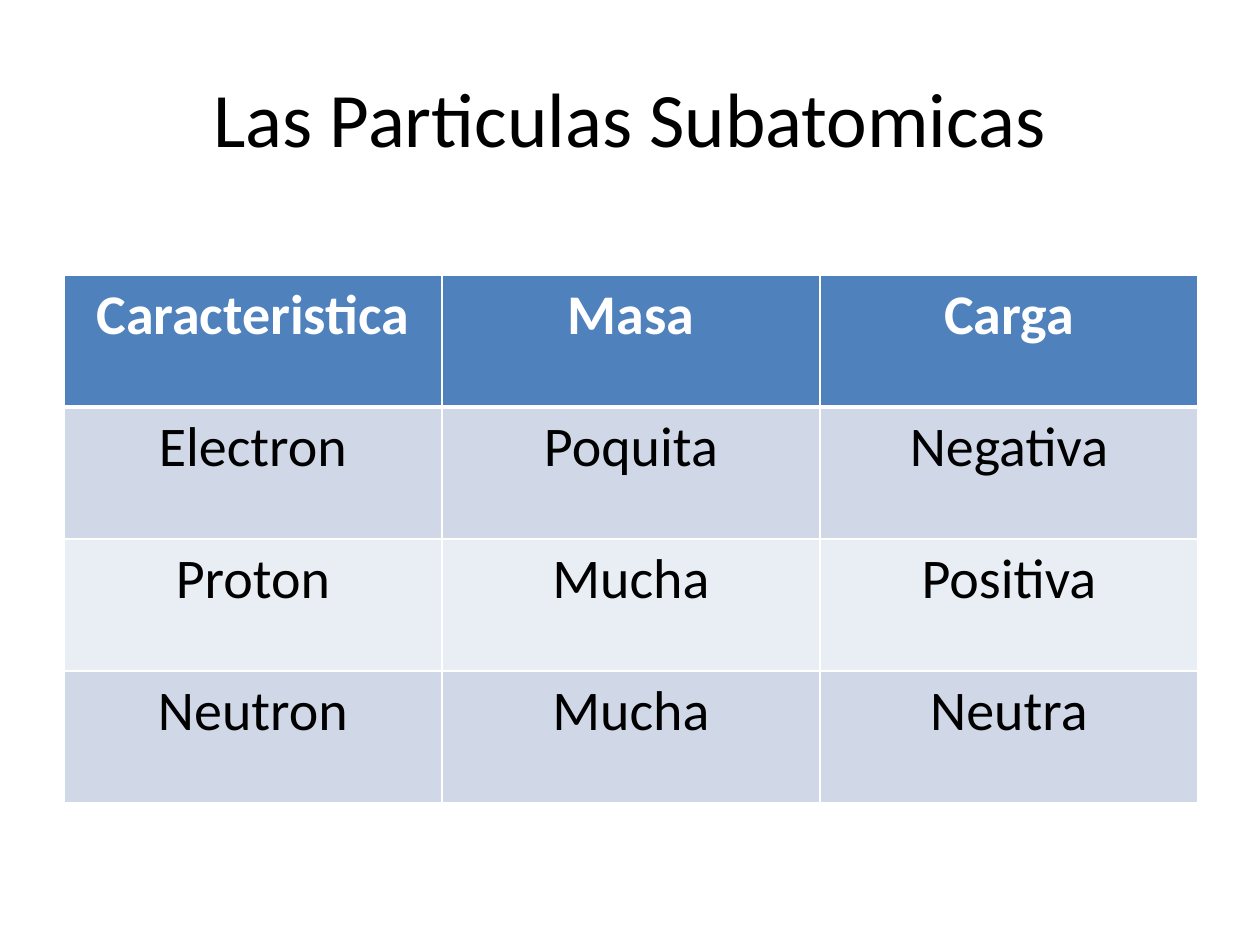
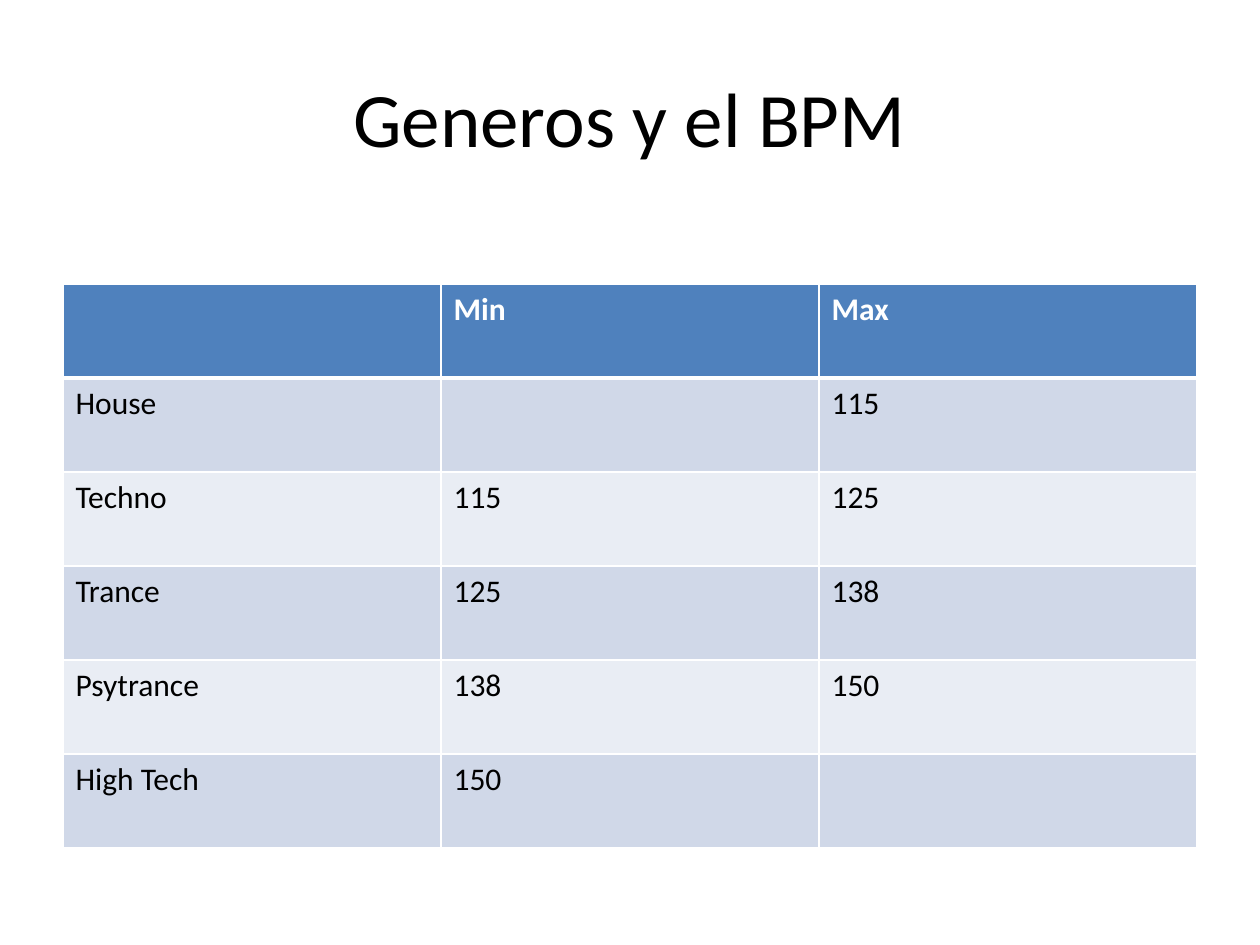
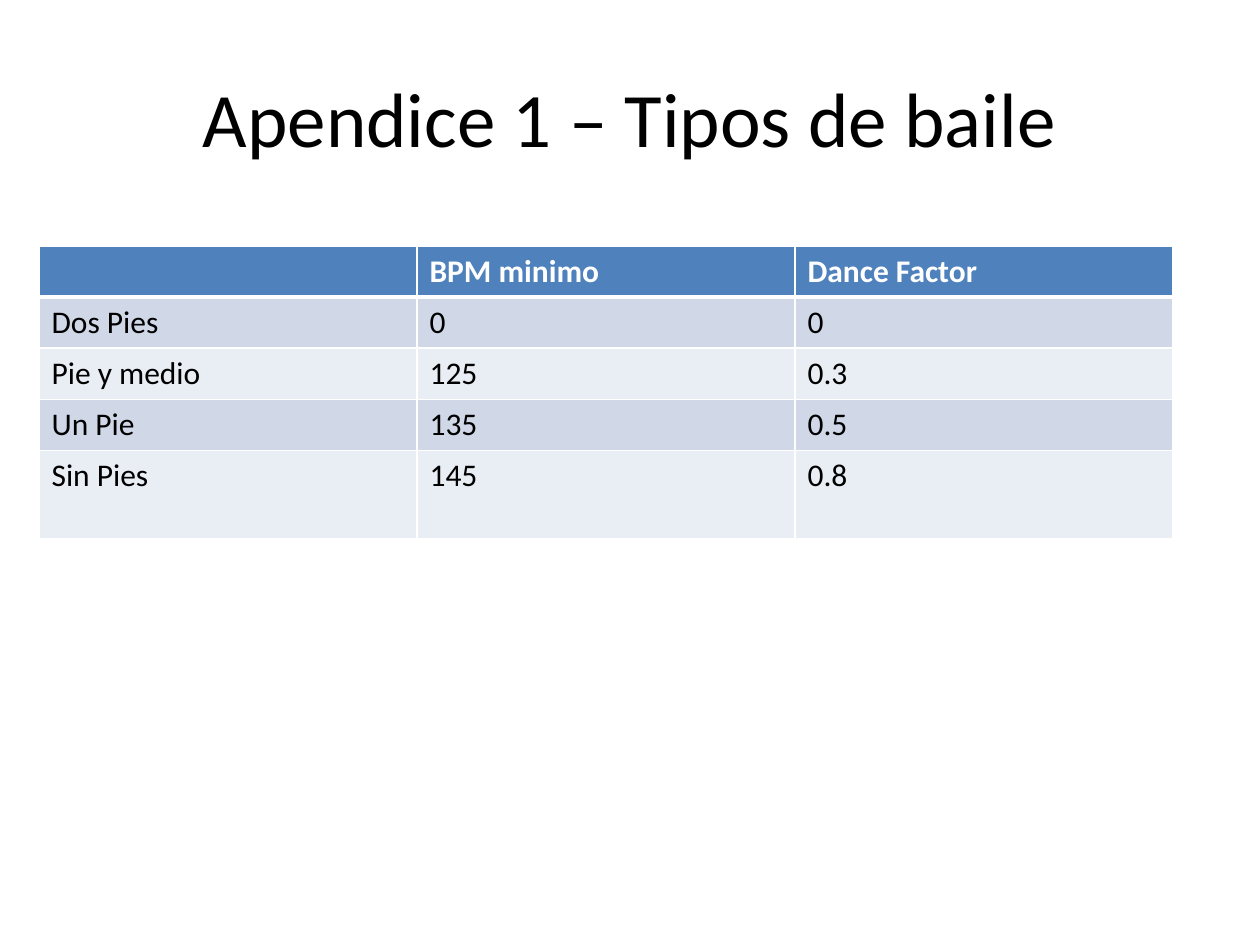
from lxml import etree
from pptx import Presentation
from pptx import util as u
from pptx.dml.color import RGBColor
from pptx.enum import text
from pptx.oxml.ns import qn

PX = 914400 / 126
FONT = "Calibri"
WHITE, BLACK = "FFFFFF", "000000"
HEAD = "4F81BD"
BANDS = ["E9EDF4", "D0D8E8"]
COL = 378

# Title and table rows of each slide
ATOMS = [
    ["Caracteristica", "Masa", "Carga"],
    ["Electron", "Poquita", "Negativa"],
    ["Proton", "Mucha", "Positiva"],
    ["Neutron", "Mucha", "Neutra"],
]
GENRES = [
    ["", "Min", "Max"],
    ["House", "", "115"],
    ["Techno", "115", "125"],
    ["Trance", "125", "138"],
    ["Psytrance", "138", "150"],
    ["High Tech", "150", ""],
]
DANCES = [
    ["", "BPM minimo", "Dance Factor"],
    ["Dos Pies", "0", "0"],
    ["Pie y medio", "125", "0.3"],
    ["Un Pie", "135", "0.5"],
    ["Sin Pies", "145", "0.8"],
]


def px(n):
    return u.Emu(round(n * PX))


def rgb(code):
    return RGBColor.from_string(code)


def style(para, size, color, bold=False, align=None):
    para.alignment = align
    look = {"name": FONT, "size": u.Pt(size), "bold": bold}
    for key, val in look.items():
        setattr(para.font, key, val)
    para.font.color.rgb = rgb(color)


def border(cell, widths):
    """Draw white cell edges; widths maps a side to points."""
    props = cell._tc.get_or_add_tcPr()
    for side, width in widths.items():
        line = etree.SubElement(props, qn("a:ln" + side), w=str(u.Pt(width)))
        fill = etree.SubElement(line, qn("a:solidFill"))
        etree.SubElement(fill, qn("a:srgbClr"), val=WHITE)


def add_slide(prs, title):
    slide = prs.slides.add_slide(prs.slide_layouts[5])
    box = slide.shapes.title
    place = {"left": 63, "top": 38, "width": 1134, "height": 157}
    for key, val in place.items():
        setattr(box, key, px(val))
    box.text_frame.text = title
    box.text_frame.vertical_anchor = text.MSO_ANCHOR.MIDDLE
    style(box.text_frame.paragraphs[0], 44, BLACK, align=text.PP_ALIGN.CENTER)
    return slide


def add_grid(slide, rows, left, top, highs, size=18, align=None):
    wide = len(rows[0])
    frame = slide.shapes.add_table(len(rows), wide, px(left), px(top),
                                   px(COL * wide), px(sum(highs)))
    grid = frame.table
    for col in grid.columns:
        col.width = px(COL)
    for r, row in enumerate(rows):
        grid.rows[r].height = px(highs[r])
        head = r == 0
        for c, word in enumerate(row):
            cell = grid.cell(r, c)
            # The line under the header row is thicker
            border(cell, {"L": 1, "R": 1, "T": 3 if r == 1 else 1,
                          "B": 3 if head else 1})
            cell.fill.solid()
            cell.fill.fore_color.rgb = rgb(HEAD if head else BANDS[r % 2])
            cell.text = word
            style(cell.text_frame.paragraphs[0], size,
                  WHITE if head else BLACK, head, align)


def main():
    prs = Presentation()
    prs.slide_width, prs.slide_height = px(1260), px(945)

    # Subatomic particles
    slide = add_slide(prs, "Las Particulas Subatomicas")
    add_grid(slide, ATOMS, 64, 275, [132] * 4, 32, text.PP_ALIGN.CENTER)

    # Genres and their tempo
    slide = add_slide(prs, "Generos y el BPM")
    add_grid(slide, GENRES, 63, 284, [94] * 6)

    # Kinds of dance
    slide = add_slide(prs, "Apendice 1 – Tipos de baile")
    add_grid(slide, DANCES, 39, 246, [47] * 4 + [88])

    prs.save("out.pptx")


if __name__ == "__main__":
    main()
